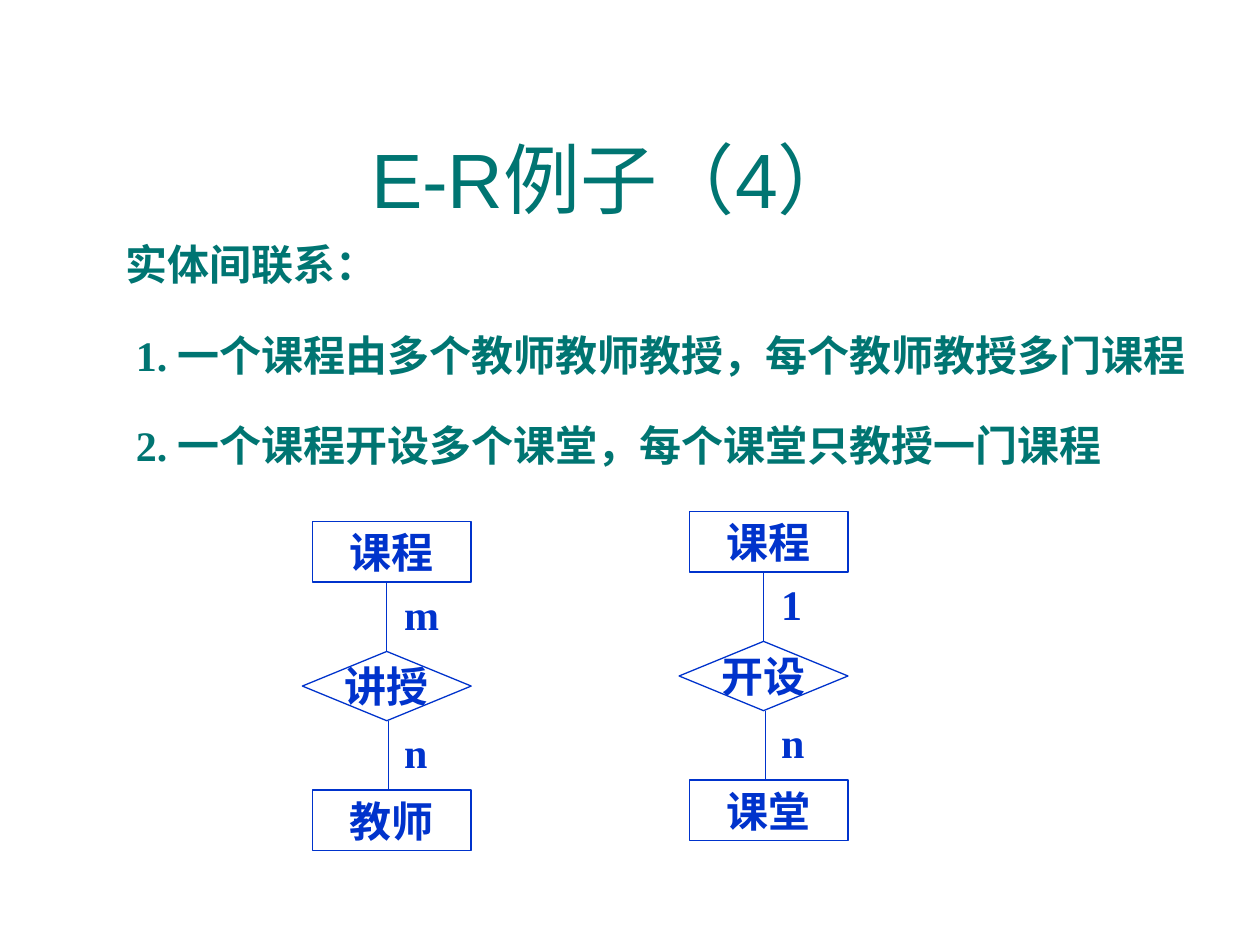
from pptx import Presentation
from pptx import util as u
from pptx.dml.color import RGBColor
from pptx.enum import shapes, text
from pptx.oxml.ns import qn
from lxml import etree

TEAL = RGBColor(0x00, 0x75, 0x72)
BLUE = RGBColor(0x00, 0x33, 0xCC)
SLIDE_WIDTH, SLIDE_HEIGHT = u.Inches(10), u.Inches(7.5)
COLUMN, ROW = SLIDE_WIDTH / 100, SLIDE_HEIGHT / 75
ENTITY_WIDTH, ENTITY_HEIGHT = 12.6, 4.8
RELATION_WIDTH, STEP = 13.4, 5.5
RELATION_TOP = ENTITY_HEIGHT + STEP
RELATION_BOTTOM = RELATION_TOP + STEP
LOWER_TOP = RELATION_BOTTOM + STEP


def place(column, row, width, height):
    return (int(column * COLUMN), int(row * ROW),
            int(width * COLUMN), int(height * ROW))


def write(shape, words, color, size=24, font="Times New Roman", bold=True,
          align=text.PP_ALIGN.LEFT, anchor=text.MSO_ANCHOR.TOP, wrap=True):
    frame = shape.text_frame
    frame.text = words
    frame.word_wrap = wrap
    frame.vertical_anchor = anchor
    para = frame.paragraphs[0]
    para.alignment = align
    for span in para.runs:
        span.font.size = u.Pt(size)
        span.font.name = font
        span.font.bold = bold
        span.font.color.rgb = color


def add_text(parent, area, words, color, **style):
    box = parent.shapes.add_textbox(*place(*area))
    write(box, words, color, **style)


def add_node(group, kind, area, words):
    node = group.shapes.add_shape(kind, *place(*area))
    node.shadow.inherit = False
    node.fill.background()
    node.line.color.rgb = BLUE
    node.line.width = u.Pt(0.75)
    write(node, words, BLUE, align=text.PP_ALIGN.CENTER,
          anchor=text.MSO_ANCHOR.MIDDLE, wrap=False)
    return node


def add_link(group, column, top):
    x, y, _, height = place(column, top, 0, STEP)
    link = group.shapes.add_connector(
        shapes.MSO_CONNECTOR.STRAIGHT, x, y, x, y + height)
    link.line.color.rgb = BLUE
    link.line.width = u.Pt(0.75)
    etree.SubElement(link._element.spPr, qn("a:effectLst"))
    return link


def add_diagram(page, left, top, entities, relation, counts):
    group = page.shapes.add_group_shape()
    for words, offset in zip(entities, (0, LOWER_TOP)):
        add_node(group, shapes.MSO_SHAPE.RECTANGLE,
                 (left + 0.8, top + offset, ENTITY_WIDTH, ENTITY_HEIGHT), words)
    diamond = add_node(group, shapes.MSO_SHAPE.DIAMOND,
                       (left, top + RELATION_TOP, RELATION_WIDTH, STEP), relation)
    upper = add_link(group, left + RELATION_WIDTH / 2, top + ENTITY_HEIGHT)
    upper.end_connect(diamond, 0)
    add_link(group, left + 6.85, top + RELATION_BOTTOM)
    for words, offset in zip(counts, (ENTITY_HEIGHT, RELATION_BOTTOM)):
        add_text(group, (left + 7.1, top + offset, 4.8, 5), words, BLUE, wrap=False)


def main():
    deck = Presentation()
    deck.slide_width, deck.slide_height = SLIDE_WIDTH, SLIDE_HEIGHT
    page = deck.slides.add_slide(deck.slide_layouts[6])

    add_text(page, (6.7, 12.1, 83.9, 6.2), "E-R例子（4）", TEAL, size=44,
             font="Arial", bold=False, align=text.PP_ALIGN.CENTER,
             anchor=text.MSO_ANCHOR.BOTTOM)
    add_text(page, (9, 18.4, 84.3, 5), "实体间联系：", TEAL)
    add_text(page, (9.8, 25.7, 85.8, 5),
             "1. 一个课程由多个教师教师教授，每个教师教授多门课程", TEAL)
    add_text(page, (9.8, 32.8, 79.1, 5),
             "2. 一个课程开设多个课堂，每个课堂只教授一门课程", TEAL)

    add_diagram(page, 24, 41.4, ("课程", "教师"), "讲授", ("m", "n"))
    add_diagram(page, 53.9, 40.6, ("课程", "课堂"), "开设", ("1", "n"))

    deck.save("out.pptx")


if __name__ == "__main__":
    main()
